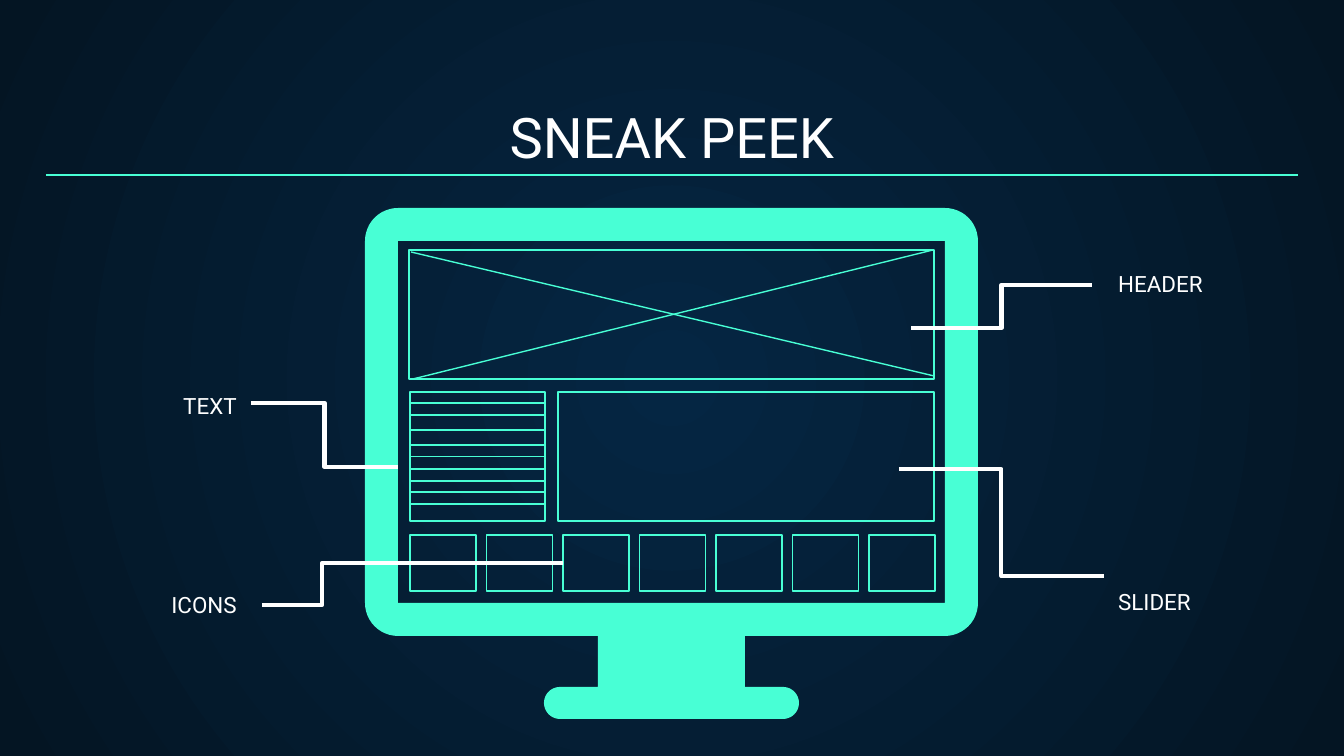
"""Build the "Sneak peek" slide: a monitor wireframe with four callouts."""
import math

from lxml import etree
from pptx import Presentation
from pptx.dml.color import RGBColor
from pptx.enum import shapes, text
from pptx.oxml.ns import qn
from pptx.util import Inches, Pt

WIDTH, HEIGHT = 1344, 756
SCALE = Inches(10) / WIDTH
MINT, WHITE = "48FFD5", "FFFFFF"
BACKGROUND = ["052643", "041523"]
LEFT, CENTER, RIGHT = text.PP_ALIGN.LEFT, text.PP_ALIGN.CENTER, text.PP_ALIGN.RIGHT
TOP, BOTTOM = text.MSO_ANCHOR.TOP, text.MSO_ANCHOR.BOTTOM

TITLE = ("SNEAK PEEK", (46, 94, 1252, 89), 30, CENTER, BOTTOM, 1)
LABELS = [
    ("HEADER", (1105, 257, 156, 28), 12, LEFT, TOP, 1),
    ("TEXT", (94, 379, 156, 28), 12, RIGHT, TOP, 1),
    ("SLIDER", (1105, 548, 156, 28), 12, LEFT, TOP, 2),
    ("ICONS", (94, 578, 156, 28), 12, RIGHT, TOP, 1),
]
CALLOUTS = [
    ((251, 403), (398, 467), 0.5),
    ((262, 605), (563, 563), 0.2),
    ((911, 328), (1092, 285), 0.5),
    ((899, 469), (1104, 576), 0.5),
]
HEADER_PANEL = (409, 250, 525, 129)
TEXT_PANEL = (410, 392, 135, 129)
SLIDER_PANEL = (558, 392, 376, 129)
TEXT_ROWS = [403, 415, 430, 445, 469, 481, 492, 504]
ICON_ROW, ICON_COUNT, ICON_WIDTH = (410, 535, 525, 56), 7, 66
CROSS = [((411, 252), (934, 376)), ((413, 379), (933, 250))]
TITLE_RULE = ((46, 175), (1298, 175))
SCREEN = (398, 241, 945, 603)
BEZEL = 33
NECK = (598, 745)
BASE = (560, 783, 703, 16)


def px(length):
    return round(length * SCALE)


def color(value):
    return RGBColor.from_string(value)


def arc(x, y, radius, start, steps=12):
    angles = [math.radians(start + 90 * i / steps) for i in range(steps + 1)]
    return [(x + radius * math.cos(a), y + radius * math.sin(a)) for a in angles]


def paint_background(page):
    fill = page.background.fill
    fill.gradient()
    for stop, value in zip(fill.gradient_stops, BACKGROUND):
        stop.color.rgb = color(value)
    gradient = page.element.find(".//" + qn("a:gradFill"))
    linear = gradient.find(qn("a:lin"))
    circle = etree.Element(qn("a:path"), path="circle")
    etree.SubElement(circle, qn("a:fillToRect"), dict.fromkeys("ltrb", "50000"))
    gradient.replace(linear, circle)


def add_text(page, words, frame, size, align, anchor, spacing):
    box = page.shapes.add_textbox(*map(px, frame))
    body = box.text_frame
    body.word_wrap, body.vertical_anchor = True, anchor
    body.margin_left = body.margin_right = Inches(0.1)
    body.margin_top = body.margin_bottom = Inches(0.1)
    para = body.paragraphs[0]
    para.text, para.alignment, para.line_spacing = words, align, float(spacing)
    para.font.name, para.font.size = "Roboto", Pt(size)
    para.font.color.rgb = color(WHITE)


def add_panel(page, frame):
    panel = page.shapes.add_shape(shapes.MSO_SHAPE.RECTANGLE, *map(px, frame))
    panel.shadow.inherit = False
    panel.fill.background()
    panel.line.color.rgb, panel.line.width = color(MINT), Pt(0.75)
    return panel


def add_line(page, start, end, bend=None):
    kind = shapes.MSO_CONNECTOR.STRAIGHT if bend is None else shapes.MSO_CONNECTOR.ELBOW
    line = page.shapes.add_connector(kind, *map(px, start + end))
    line.line.color.rgb = color(MINT if bend is None else WHITE)
    line.line.width = Pt(0.75 if bend is None else 2.25)
    etree.SubElement(line.element.spPr, qn("a:effectLst"))
    if bend is not None:
        guides = line.element.spPr.find(".//" + qn("a:avLst"))
        etree.SubElement(guides, qn("a:gd"), name="adj1", fmla=f"val {round(bend * 100000)}")
    return line


def add_monitor(page):
    left, top, right, bottom = SCREEN
    base_left, base_right, base_y, base_radius = BASE
    neck_left, neck_right = NECK
    chin, foot = bottom + BEZEL, base_y - base_radius
    outline = [
        *arc(left, top, BEZEL, 180), *arc(right, top, BEZEL, 270), *arc(right, bottom, BEZEL, 0),
        (neck_right, chin), (neck_right, foot),
        *arc(base_right, base_y, base_radius, 270), *arc(base_right, base_y, base_radius, 0),
        *arc(base_left, base_y, base_radius, 90), *arc(base_left, base_y, base_radius, 180),
        (neck_left, foot), (neck_left, chin), *arc(left, bottom, BEZEL, 90),
    ]
    opening = [(left, top), (left, bottom), (right, bottom), (right, top)]
    first, *rest = [[(px(x), px(y)) for x, y in ring] for ring in (outline, opening)]
    builder = page.shapes.build_freeform(*first[0])
    builder.add_line_segments(first[1:])
    for ring in rest:
        builder.move_to(*ring[0])
        builder.add_line_segments(ring[1:])
    monitor = builder.convert_to_shape()
    monitor.shadow.inherit = False
    monitor.fill.solid()
    monitor.fill.fore_color.rgb = color(MINT)
    monitor.line.fill.background()


def add_wireframe(page):
    add_panel(page, HEADER_PANEL)
    text_panel = add_panel(page, TEXT_PANEL)
    add_panel(page, SLIDER_PANEL)
    left, top, width, height = ICON_ROW
    pitch = (width - ICON_WIDTH) / (ICON_COUNT - 1)
    for i in range(ICON_COUNT):
        add_panel(page, (left + i * pitch, top, ICON_WIDTH, height))
    for start, end in CROSS:
        add_line(page, start, end)
    left, top, width, height = TEXT_PANEL
    for y in TEXT_ROWS:
        add_line(page, (left, y), (left + width, y))
    middle = top + height / 2
    middle_row = add_line(page, (left, middle), (left + width, middle))
    middle_row.begin_connect(text_panel, 1)
    middle_row.end_connect(text_panel, 3)


def main():
    deck = Presentation()
    deck.slide_width, deck.slide_height = px(WIDTH), px(HEIGHT)
    page = deck.slides.add_slide(deck.slide_layouts[6])
    paint_background(page)
    add_text(page, *TITLE)
    add_monitor(page)
    add_wireframe(page)
    for label in LABELS:
        add_text(page, *label)
    for start, end, bend in CALLOUTS:
        add_line(page, start, end, bend)
    add_line(page, *TITLE_RULE)
    deck.save("out.pptx")


if __name__ == "__main__":
    main()
